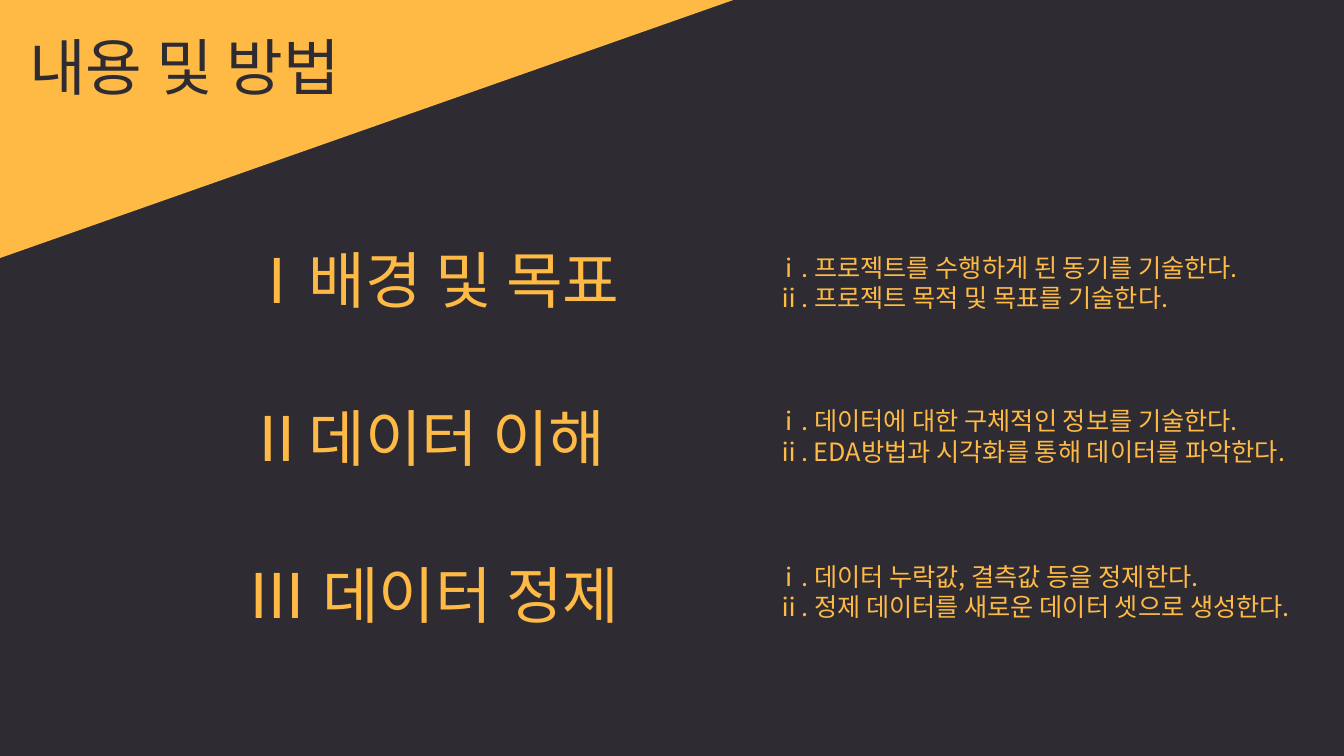
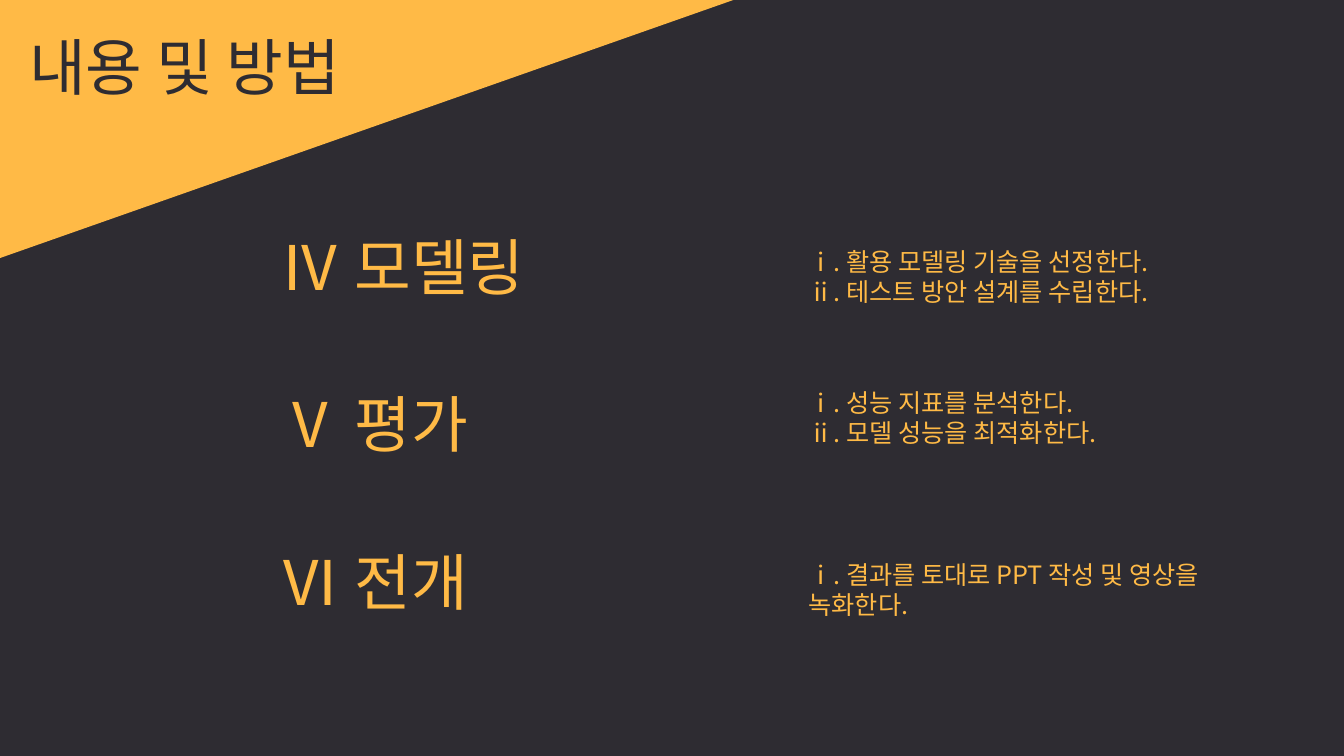
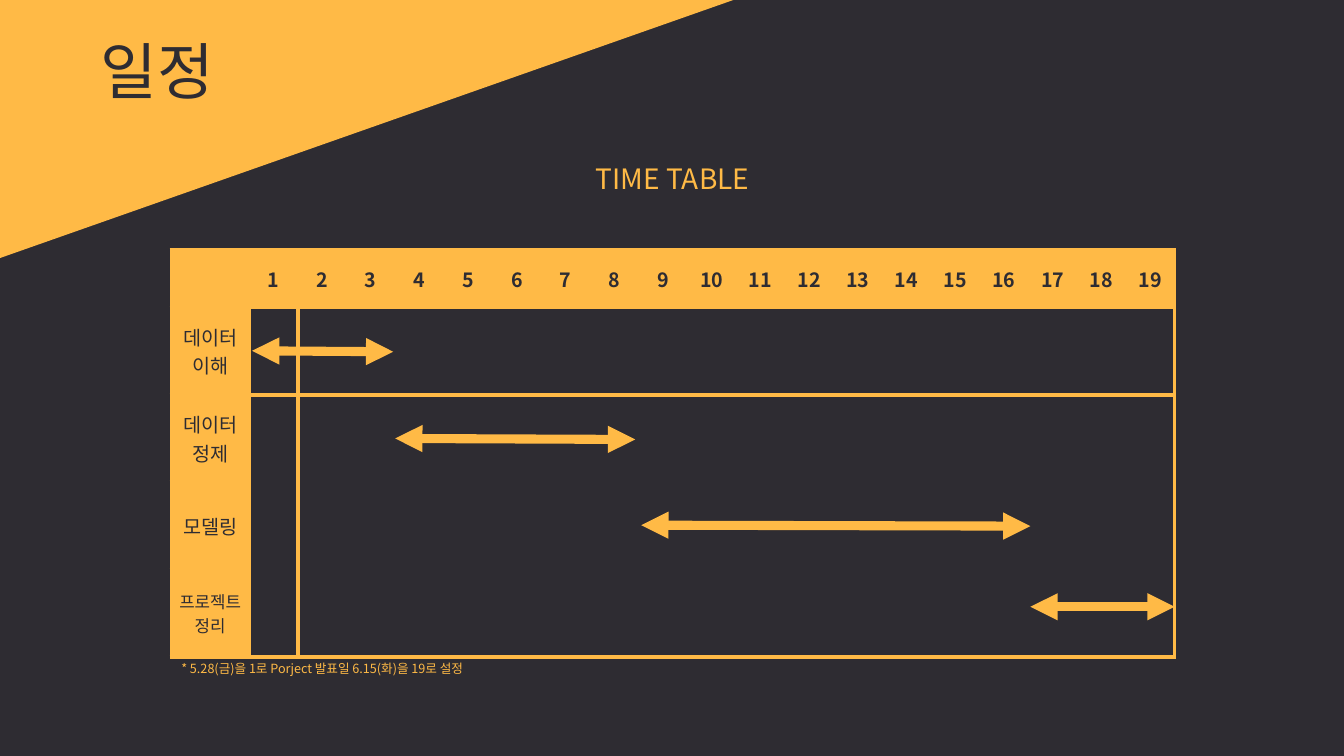
from dataclasses import dataclass

from lxml.etree import SubElement
from pptx import Presentation
from pptx.dml.color import RGBColor
from pptx.enum.shapes import MSO_CONNECTOR, MSO_SHAPE
from pptx.enum.text import MSO_ANCHOR, PP_ALIGN
from pptx.oxml.ns import qn
from pptx.util import Inches, Pt


@dataclass(frozen=True)
class Theme:
    dark: str = "2E2C32"
    accent: str = "FFBA46"
    font: str = "Noto Sans CJK KR"
    title: float = 44
    subtitle: float = 20
    detail: float = 18
    table: float = 14
    table_small: float = 12
    note: float = 9
    border: float = 3
    arrow: float = 6.5
    plain_table: str = "{2D5ABB26-0587-4C30-8999-92F81FD0307C}"


class Deck:
    def __init__(self, theme):
        self.theme = theme
        self.slide = None
        self.presentation = Presentation()
        self.presentation.slide_width = Inches(13.33)
        self.presentation.slide_height = Inches(7.5)
        self.paint(self.presentation.slide_master.background.fill, theme.dark)

    def paint(self, fill, color):
        fill.solid()
        fill.fore_color.rgb = RGBColor.from_string(color)

    def style(self, text_frame, size, color, align=PP_ALIGN.LEFT, bold=False):
        for paragraph in text_frame.paragraphs:
            paragraph.alignment = align
            for run in paragraph.runs:
                run.font.size = Pt(size)
                run.font.bold = bold
                run.font.name = self.theme.font
                run.font.color.rgb = RGBColor.from_string(color)
                properties = run.font._element
                SubElement(properties, qn("a:ea"), typeface=self.theme.font)

    def add_slide(self, title, box=(0.19, 0, 4.68, 1.3), align=PP_ALIGN.LEFT):
        self.slide = self.presentation.slides.add_slide(self.presentation.slide_layouts[6])
        corner = self.slide.shapes.add_shape(
            MSO_SHAPE.ISOSCELES_TRIANGLE, Inches(0), Inches(-0.02), Inches(7.33), Inches(2.58))
        corner.adjustments[0] = 1
        corner.rotation = 180
        corner.shadow.inherit = False
        self.paint(corner.fill, self.theme.accent)
        corner.line.fill.background()
        self.add_text(title, box, self.theme.title, self.theme.dark, align)

    def add_text(self, text, box, size, color=None, align=PP_ALIGN.LEFT,
                 anchor=MSO_ANCHOR.MIDDLE):
        text_frame = self.slide.shapes.add_textbox(*map(Inches, box)).text_frame
        text_frame.word_wrap = True
        text_frame.vertical_anchor = anchor
        text_frame.text = text
        self.style(text_frame, size, color or self.theme.accent, align)

    def add_topics(self, left, top, topics):
        for index, (heading, details, detail_box) in enumerate(topics):
            self.add_text(heading, (left, top + 1.56 * index, 4.68, 1.3), self.theme.title)
            self.add_text("\n".join(details), detail_box, self.theme.detail)

    def add_border(self, cell, sides):
        properties = cell._tc.get_or_add_tcPr()
        for side in sides:
            line = SubElement(properties, qn(f"a:ln{side}"), w=str(Pt(self.theme.border)))
            fill = SubElement(line, qn("a:solidFill"))
            SubElement(fill, qn("a:srgbClr"), val=self.theme.accent)

    def add_schedule(self, box, days, tasks):
        left, top, width, height = box
        label_width, header_height = 0.77, 0.57
        last_row, last_column = len(tasks), days
        frame = self.slide.shapes.add_table(
            last_row + 1, last_column + 1, *map(Inches, box))
        for style_id in frame._element.iter(qn("a:tableStyleId")):
            style_id.text = self.theme.plain_table
        table = frame.table
        table.first_row = table.horz_banding = False
        for index, column in enumerate(table.columns):
            column.width = Inches((width - label_width) / days if index else label_width)
        for index, row in enumerate(table.rows):
            row.height = Inches((height - header_height) / last_row if index else header_height)

        for row in range(last_row + 1):
            for column in range(last_column + 1):
                cell = table.cell(row, column)
                edges = {
                    "L": column <= 1,
                    "R": column in (0, last_column),
                    "T": row <= 1 or column == 0,
                    "B": row in (0, last_row) or column == 0,
                }
                self.add_border(cell, [side for side, drawn in edges.items() if drawn])
                if row and column:
                    cell.fill.background()
                    continue
                self.paint(cell.fill, self.theme.accent)
                cell.vertical_anchor = MSO_ANCHOR.MIDDLE
                size = self.theme.table
                if row:
                    cell.text, size = tasks[row - 1]
                    cell.margin_left = cell.margin_right = 0
                    cell.margin_top = cell.margin_bottom = 0
                elif column:
                    cell.text = str(column)
                self.style(cell.text_frame, size, self.theme.dark, PP_ALIGN.CENTER, row == 0)

    def add_arrow(self, start, end):
        connector = self.slide.shapes.add_connector(
            MSO_CONNECTOR.STRAIGHT, *map(Inches, start + end))
        connector.line.width = Pt(self.theme.arrow)
        self.paint(connector.line.fill, self.theme.accent)
        line = connector.line._get_or_add_ln()
        for tip in ("a:headEnd", "a:tailEnd"):
            SubElement(line, qn(tip), type="triangle")
        SubElement(connector._element.spPr, qn("a:effectLst"))


def main():
    theme = Theme()
    deck = Deck(theme)

    deck.add_slide("내용 및 방법")
    deck.add_topics(2.35, 2.12, [
        ("Ⅰ배경 및 목표",
         ["ⅰ. 프로젝트를 수행하게 된 동기를 기술한다.", "ⅱ. 프로젝트 목적 및 목표를 기술한다."],
         (7.6, 2.39, 5.36, 0.82)),
        ("Ⅱ데이터 이해",
         ["ⅰ. 데이터에 대한 구체적인 정보를 기술한다.",
          "ⅱ. EDA방법과 시각화를 통해 데이터를 파악한다."],
         (7.6, 3.9, 5.36, 0.85)),
        ("Ⅲ 데이터 정제",
         ["ⅰ. 데이터 누락값, 결측값 등을 정제한다.",
          "ⅱ. 정제 데이터를 새로운 데이터 셋으로 생성한다."],
         (7.6, 5.43, 5.86, 0.88)),
    ])

    deck.add_slide("내용 및 방법")
    deck.add_topics(2.67, 1.99, [
        ("Ⅳ 모델링",
         ["ⅰ. 활용 모델링 기술을 선정한다.", "ⅱ. 테스트 방안 설계를 수립한다."],
         (7.92, 2.27, 4.95, 0.94)),
        ("Ⅴ 평가",
         ["ⅰ. 성능 지표를 분석한다.", "ⅱ. 모델 성능을 최적화한다."],
         (7.92, 3.67, 4.95, 0.94)),
        ("Ⅵ 전개",
         ["ⅰ. 결과를 토대로 PPT 작성 및 영상을 녹화한다."],
         (7.92, 5.38, 4.95, 0.94)),
    ])

    deck.add_slide("일정", (-0.78, 0.04, 4.68, 1.3), PP_ALIGN.CENTER)
    deck.add_schedule((1.7, 2.48, 9.95, 4.04), 19, [
        ("데이터 이해", theme.table),
        ("데이터\n정제", theme.table),
        ("모델링", theme.table),
        ("프로젝트 정리", theme.table_small),
    ])
    deck.add_text("TIME TABLE", (4.33, 1.12, 4.68, 1.3), theme.subtitle, align=PP_ALIGN.CENTER)
    deck.add_text("* 5.28(금)을 1로 Porject 발표일 6.15(화)을 19로 설정",
                  (1.7, 6.51, 3.74, 0.35), theme.note, anchor=MSO_ANCHOR.TOP)
    for start, end in [
        ((2.5, 3.48), (3.9, 3.49)),
        ((3.92, 4.35), (6.3, 4.36)),
        ((6.36, 5.21), (10.22, 5.22)),
        ((10.22, 6.02), (11.65, 6.02)),
    ]:
        deck.add_arrow(start, end)

    deck.presentation.save("out.pptx")


if __name__ == "__main__":
    main()
